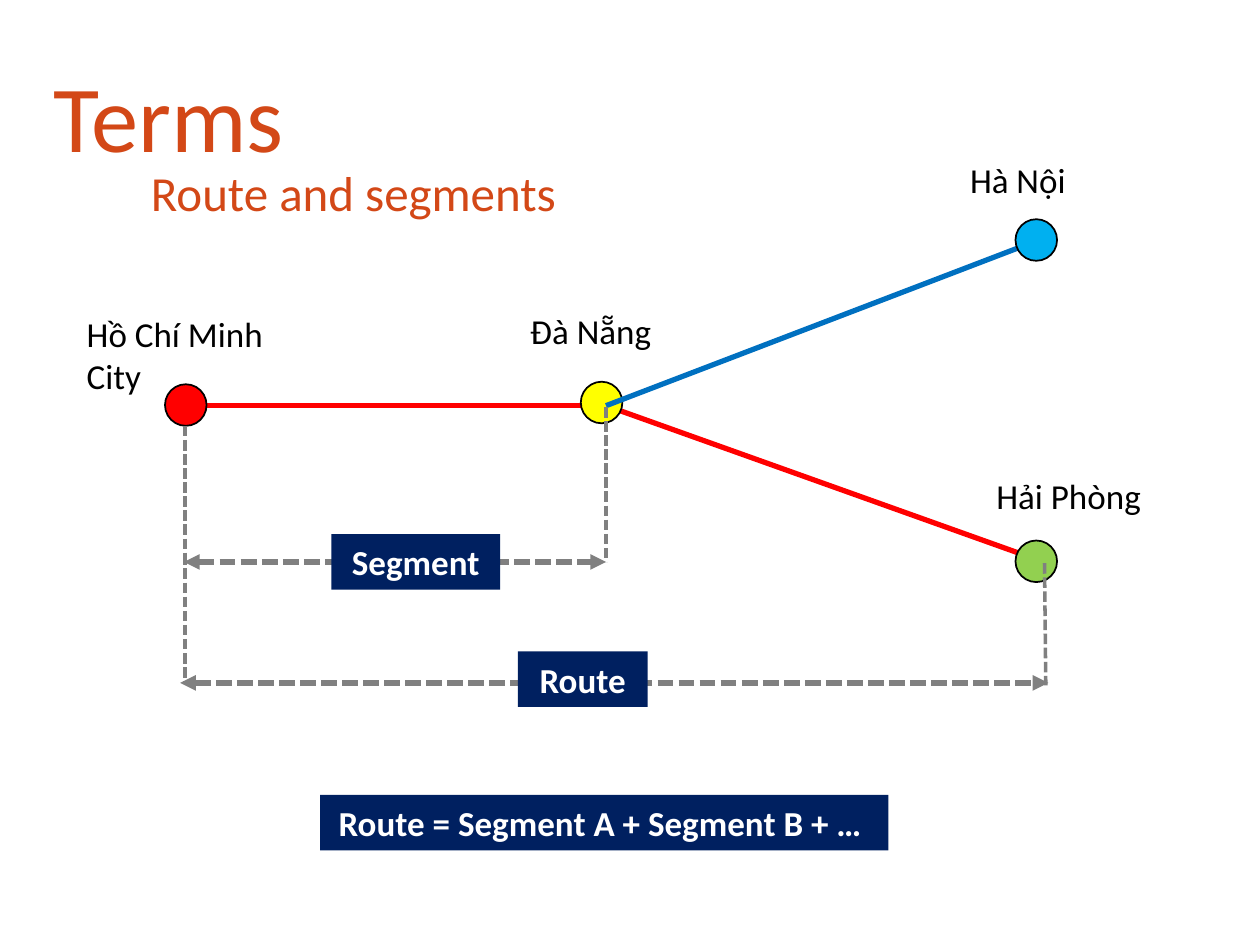
from lxml import etree
from pptx import Presentation
from pptx.dml.color import RGBColor
from pptx.enum import dml, shapes, text
from pptx.oxml.ns import qn
from pptx.util import Inches, Pt

ORANGE = RGBColor(0xD3, 0x48, 0x17)
RED = RGBColor(0xFF, 0x00, 0x00)
YELLOW = RGBColor(0xFF, 0xFF, 0x00)
BLUE = RGBColor(0x00, 0x70, 0xC0)
SKY = RGBColor(0x00, 0xB0, 0xF0)
GREEN = RGBColor(0x92, 0xD0, 0x50)
GRAY = RGBColor(0x80, 0x80, 0x80)
NAVY = RGBColor(0x00, 0x20, 0x60)
BLACK = RGBColor(0x00, 0x00, 0x00)
WHITE = RGBColor(0xFF, 0xFF, 0xFF)

STOP_SIZE = 0.33
HO_CHI_MINH = (1.47, 3.22)
DA_NANG = (4.81, 3.22)
HA_NOI = (8.31, 1.88)
HAI_PHONG = (8.31, 4.47)


def write(shape, words, size, color, bold=False, align=None):
    frame = shape.text_frame
    frame.word_wrap = True
    para = frame.paragraphs[0]
    para.text = words
    para.alignment = align
    font = para.font
    font.name, font.size, font.bold = "Calibri", Pt(size), bold
    font.color.rgb = color
    return frame


def add_label(page, box, words, size=20, color=BLACK):
    return write(page.shapes.add_textbox(*map(Inches, box)), words, size, color)


def add_line(page, start, end, color, width, dashed=False, arrows=()):
    """Draw a line; arrows names its ends: headEnd at start, tailEnd at end."""
    line = page.shapes.add_connector(
        shapes.MSO_CONNECTOR.STRAIGHT, *map(Inches, (*start, *end)))
    line.line.color.rgb = color
    line.line.width = Pt(width)
    if dashed:
        line.line.dash_style = dml.MSO_LINE.SQUARE_DOT
    for arrow in arrows:
        etree.SubElement(line.line._get_or_add_ln(), qn(f"a:{arrow}"), type="triangle")
    etree.SubElement(line._element.spPr, qn("a:effectLst"))


def add_banner(page, box, words):
    banner = page.shapes.add_shape(shapes.MSO_SHAPE.RECTANGLE, *map(Inches, box))
    banner.shadow.inherit = False
    banner.fill.solid()
    banner.fill.fore_color.rgb = NAVY
    banner.line.fill.background()
    write(banner, words, 20, WHITE, True, text.PP_ALIGN.CENTER)


def add_stop(page, corner, color, name, label_box):
    stop = page.shapes.add_shape(
        shapes.MSO_SHAPE.OVAL, *map(Inches, (*corner, STOP_SIZE, STOP_SIZE)))
    stop.shadow.inherit = False
    stop.fill.solid()
    stop.fill.fore_color.rgb = color
    stop.line.color.rgb = BLACK
    stop.line.width = Pt(1)
    add_label(page, label_box, name)


def add_track(page, start, end, color):
    add_line(page, start, end, color, 3, arrows=["tailEnd"])


def add_span(page, left, right, y, guides, banner_box, words):
    """Mark a distance with dashed guides, a two-way arrow and a banner."""
    for start, end in guides:
        add_line(page, start, end, GRAY, 2, dashed=True)
    add_line(page, (left, y), (right, y), GRAY, 3, True, ["headEnd", "tailEnd"])
    add_banner(page, banner_box, words)


def add_heading(page):
    title = add_label(page, (0.33, 0.5, 5.17, 0.92), "Terms", 54, ORANGE)
    title.vertical_anchor = text.MSO_ANCHOR.BOTTOM
    title.paragraphs[0].line_spacing = 0.9
    add_label(page, (1.1, 1.24, 4.04, 0.57), "Route and segments", 28, ORANGE)


def add_network(page):
    add_track(page, HO_CHI_MINH, DA_NANG, RED)
    add_track(page, DA_NANG, HAI_PHONG, RED)
    add_stop(page, (1.31, 3.05), RED, "Hồ Chí Minh City", (0.59, 2.43, 1.76, 0.77))
    add_stop(page, (4.61, 3.03), YELLOW, "Đà Nẵng", (4.11, 2.41, 1.19, 0.44))
    add_track(page, DA_NANG, HA_NOI, BLUE)
    add_stop(page, (8.06, 1.74), SKY, "Hà Nội", (7.6, 1.21, 1.25, 0.44))
    add_stop(page, (8.06, 4.29), GREEN, "Hải Phòng", (7.81, 3.72, 2, 0.44))


def add_spans(page):
    add_span(page, 1.46, 4.81, 4.46,
             [((1.47, 3.38), (1.47, 4.46)), ((4.81, 3.23), (4.81, 4.46))],
             (2.63, 4.24, 1.34, 0.44), "Segment")
    add_span(page, 1.43, 8.32, 5.42,
             [((8.29, 4.47), (8.3, 5.44)), ((1.47, 4.4), (1.47, 5.42))],
             (4.11, 5.17, 1.03, 0.44), "Route")


def main():
    deck = Presentation()
    deck.slide_width, deck.slide_height = Inches(10), Inches(7.5)
    page = deck.slides.add_slide(deck.slide_layouts[6])
    add_heading(page)
    add_network(page)
    add_spans(page)
    add_banner(page, (2.54, 6.31, 4.51, 0.44), "Route = Segment A + Segment B + … ")
    deck.save("out.pptx")


if __name__ == "__main__":
    main()
